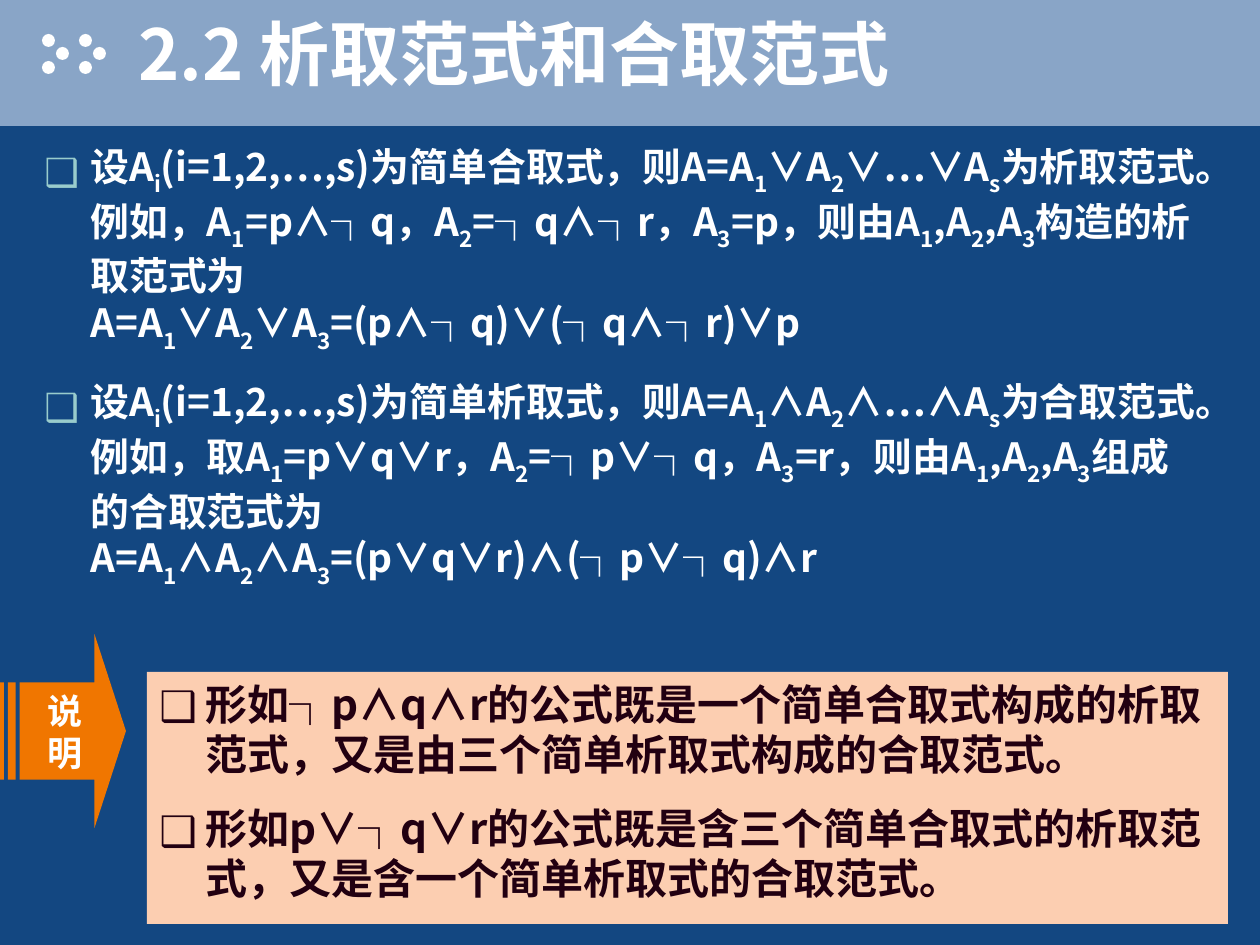
"""Build the slide on disjunctive and conjunctive normal forms."""
from lxml.etree import SubElement
from pptx import Presentation
from pptx.dml.color import RGBColor
from pptx.enum.shapes import MSO_SHAPE as Shape
from pptx.enum.text import MSO_ANCHOR as Anchor, PP_ALIGN as Align
from pptx.oxml.ns import qn
from pptx.util import Emu, Pt

PX = 914400 / 126
CJK = "Noto Sans CJK SC"
WHITE, DARK = "FFFFFF", "220011"


def rgb(value):
    return RGBColor.from_string(value)


def write(paragraph, text, look, bullet=None):
    if bullet:
        props = paragraph._p.get_or_add_pPr()
        props.set("marL", str(round(46 * PX)))
        props.set("indent", str(round(-46 * PX)))
        paragraph.space_before = Pt(13.5)
        paragraph.line_spacing = look["spacing"]
        SubElement(SubElement(props, qn("a:buClr")), qn("a:srgbClr"), val=bullet)
        SubElement(props, qn("a:buFont"), typeface=CJK)
        SubElement(props, qn("a:buChar"), char="❑")
    plain, *marked = text.split("_")
    pieces = [(plain, False)]
    for part in marked:
        pieces += [(part[0], True), (part[1:], False)]
    for piece, lowered in pieces:
        for number, line in enumerate(piece.split("\n")):
            if number:
                paragraph.add_line_break()
            if not line:
                continue
            run = paragraph.add_run()
            run.text = line
            for key, value in {"size": Pt(look["size"]), "bold": True, "name": look["font"]}.items():
                setattr(run.font, key, value)
            run.font.color.rgb = rgb(look["color"])
            SubElement(run._r.rPr, qn("a:ea"), typeface=CJK)
            if lowered:
                run._r.rPr.set("baseline", "-30000")


deck = Presentation()
deck.slide_width, deck.slide_height = Emu(round(1260 * PX)), Emu(round(945 * PX))
slide = deck.slides.add_slide(deck.slide_layouts[5])
slide.background.fill.solid()
slide.background.fill.fore_color.rgb = rgb("134781")

dots = [(x + dx, y) for x in (42, 79) for dx, y in ((0, 34), (14, 47), (0, 61))]
panels = [(Shape.RECTANGLE, (0, 0, 1260, 126), "89A5C7")]
panels += [(Shape.OVAL, (x, y, 13, 13), WHITE) for x, y in dots]
panels += [(Shape.STRIPED_RIGHT_ARROW, (0, 634, 126, 194), "F07600"),
           (Shape.RECTANGLE, (147, 672, 1081, 252), "FCCEB1")]
drawn = []
for kind, box, color in panels:
    panel = slide.shapes.add_shape(kind, *(Emu(round(n * PX)) for n in box))
    panel.shadow.inherit = False
    panel.fill.solid()
    panel.fill.fore_color.rgb = rgb(color)
    panel.line.fill.background()
    drawn.append(panel)
arrow, remarks = drawn[-2:]
arrow.adjustments[1] = 0.25

title = slide.shapes.title
slide.shapes._spTree.append(title._element)
for side, n in {"left": 126, "top": 0, "width": 1134, "height": 105}.items():
    setattr(title, side, Emu(round(n * PX)))
title.text_frame.vertical_anchor = Anchor.MIDDLE
heading = title.text_frame.paragraphs[0]
heading.alignment = Align.LEFT
write(heading, "2.2 析取范式和合取范式", {"size": 40, "font": CJK, "color": WHITE})
for run in heading.runs:
    effects = run._r.rPr.makeelement(qn("a:effectLst"), {})
    run._r.rPr.find(qn("a:solidFill")).addnext(effects)
    shade = SubElement(effects, qn("a:outerShdw"), dist="25400", dir="2700000")
    SubElement(shade, qn("a:srgbClr"), val=DARK)

write(arrow.text_frame.paragraphs[0], "说明", {"size": 20, "font": "Arial", "color": WHITE})
arrow.text_frame.paragraphs[0].alignment = Align.CENTER

definitions = slide.shapes.add_textbox(*(Emu(round(n * PX)) for n in (32, 136, 1176, 473)))
lists = [
    (definitions, {"size": 22.2, "font": CJK, "color": WHITE, "spacing": 1.0}, "99CCCC", [
        "设A_i(i=1,2,…,s)为简单合取式，则A=A_1∨A_2∨…∨A_s为析取范式。例如，A_1=p∧┐q，A_2=┐q∧┐r，"
        "A_3=p，则由A_1,A_2,A_3构造的析取范式为\nA=A_1∨A_2∨A_3=(p∧┐q)∨(┐q∧┐r)∨p",
        "设A_i(i=1,2,…,s)为简单析取式，则A=A_1∧A_2∧…∧A_s为合取范式。例如，取A_1=p∨q∨r，A_2=┐p∨┐q，"
        "A_3=r，则由A_1,A_2,A_3组成的合取范式为\nA=A_1∧A_2∧A_3=(p∨q∨r)∧(┐p∨┐q)∧r"]),
    (remarks, {"size": 24, "font": CJK, "color": DARK, "spacing": 1.0}, DARK, [
        "形如┐p∧q∧r的公式既是一个简单合取式构成的析取范式，又是由三个简单析取式构成的合取范式。",
        "形如p∨┐q∨r的公式既是含三个简单合取式的析取范式，又是含一个简单析取式的合取范式。"]),
]
for holder, look, bullet, items in lists:
    frame = holder.text_frame
    frame.word_wrap = True
    frame.vertical_anchor = Anchor.TOP
    for number, item in enumerate(items):
        paragraph = frame.add_paragraph() if number else frame.paragraphs[0]
        paragraph.alignment = Align.LEFT
        write(paragraph, item, look, bullet)

deck.save("out.pptx")
